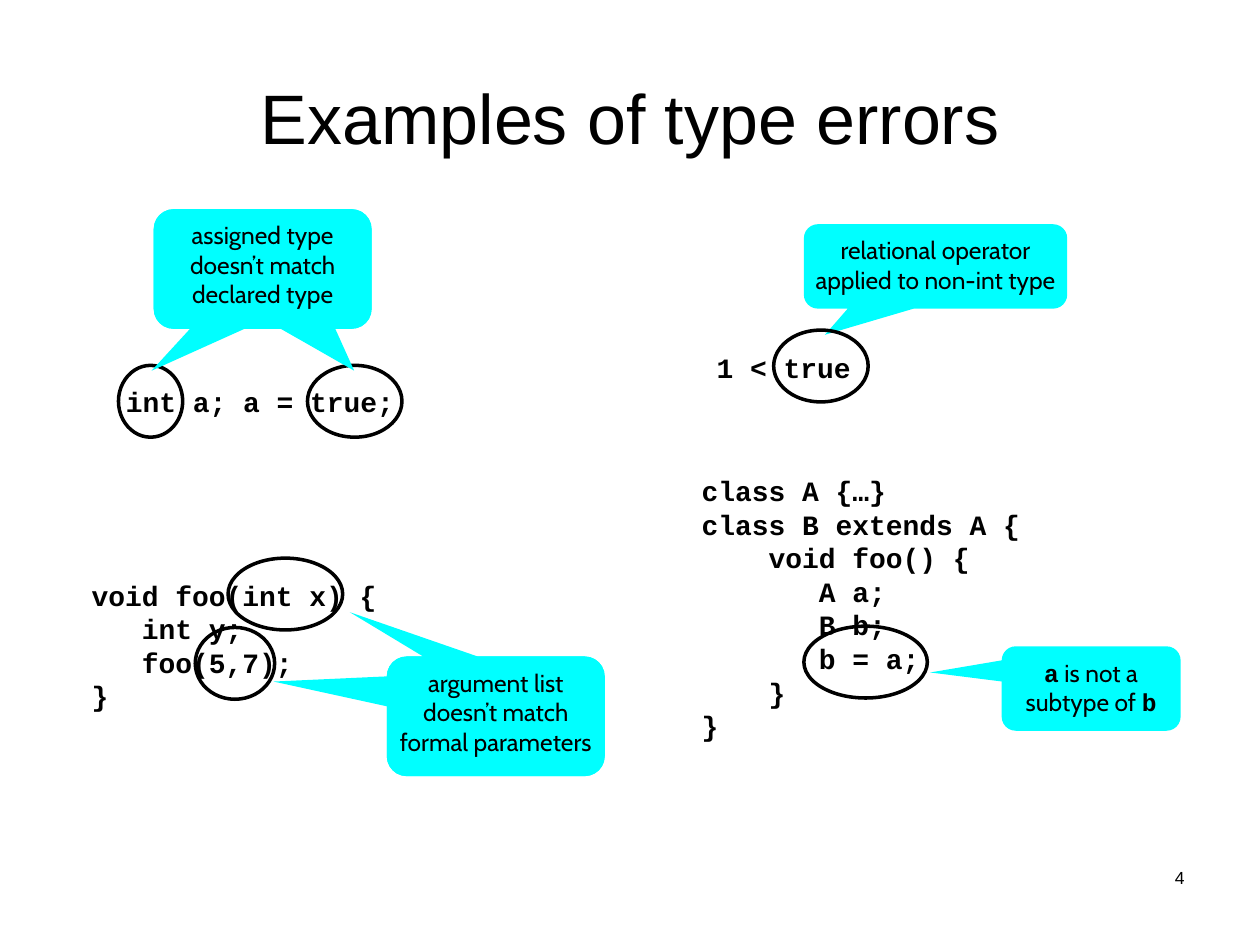
from pptx import Presentation
from pptx.dml.color import RGBColor
from pptx.enum.shapes import MSO_SHAPE
from pptx.enum.text import MSO_ANCHOR, PP_ALIGN
from pptx.util import Pt

EMU_PER_PX = 9144
BLACK = "000000"
CYAN = "00FFFF"
CODE_FONT = "Courier New"
NOTE_FONT = "Cabin"


def px(length):
    return length * EMU_PER_PX


def color(hex_code):
    return RGBColor.from_string(hex_code)


def style(run, font_name, size, bold=False):
    run.font.name = font_name
    run.font.size = Pt(size)
    run.font.bold = bold
    run.font.color.rgb = color(BLACK)


def add_text(slide, left, top, width, height, pieces, size, align=PP_ALIGN.LEFT):
    frame = slide.shapes.add_textbox(px(left), px(top), px(width), px(height)).text_frame
    frame.word_wrap = True
    paragraph = frame.paragraphs[0]
    paragraph.alignment = align
    if len(pieces) == 1:
        words, font_name, bold = pieces[0]
        paragraph.text = words
        for run in paragraph.runs:
            style(run, font_name, size, bold)
        return
    for words, font_name, bold in pieces:
        run = paragraph.add_run()
        run.text = words
        style(run, font_name, size, bold)


def add_code(slide, left, top, width, height, code):
    add_text(slide, left, top, width, height, [(code, CODE_FONT, True)], 16)


def add_ring(slide, left, top, width):
    ring = slide.shapes.add_shape(MSO_SHAPE.OVAL, px(left), px(top), px(width), px(57))
    ring.shadow.inherit = False
    ring.fill.background()
    ring.line.color.rgb = color(BLACK)
    ring.line.width = Pt(2)


def add_callout(slide, left, top, width, height, tails, pieces, overhang=4):
    for tail_x, tail_y in tails:
        bubble = slide.shapes.add_shape(
            MSO_SHAPE.ROUNDED_RECTANGULAR_CALLOUT, px(left), px(top), px(width), px(height))
        bubble.shadow.inherit = False
        bubble.fill.solid()
        bubble.fill.fore_color.rgb = color(CYAN)
        bubble.line.fill.background()
        bubble.adjustments[0] = tail_x
        bubble.adjustments[1] = tail_y
    add_text(slide, left - overhang, top + 4, width + 2 * overhang, height - 10,
             pieces, 14, PP_ALIGN.CENTER)


def add_title(slide, left, top, width, height):
    title = slide.shapes.title
    title.left, title.top, title.width, title.height = map(px, (left, top, width, height))
    title.text_frame.text = "Examples of type errors"
    title.text_frame.vertical_anchor = MSO_ANCHOR.MIDDLE
    paragraph = title.text_frame.paragraphs[0]
    paragraph.alignment = PP_ALIGN.CENTER
    style(paragraph.runs[0], "Arial", 40)


def add_assignment(slide, left, top):
    add_code(slide, left, top + 134, 272, 37, "int a; a = true;")
    add_ring(slide, left + 4, top + 124, 51)
    add_ring(slide, left + 154, top + 124, 75)
    add_callout(slide, left + 32, top, 173, 95, [(-0.51, 0.85), (0.42, 0.85)],
                [("assigned type doesn’t match declared type", NOTE_FONT, False)])


def add_method_call(slide, left, top):
    add_code(slide, left, top + 11, 327, 117,
             "void foo(int x) {\n   int y;\n   foo(5,7);\n}")
    add_ring(slide, left + 92, top + 55, 63)
    add_ring(slide, left + 118, top, 91)
    add_callout(slide, left + 244, top + 78, 173, 95, [(-1.02, -0.29), (-0.67, -0.87)],
                [("argument list doesn’t match formal parameters", NOTE_FONT, False)])


def add_comparison(slide, left, top):
    add_code(slide, left, top + 95, 130, 37, "1 < true")
    add_callout(slide, left + 79, top, 209, 67, [(-0.42, 0.81)],
                [("relational operator applied to non-int type", NOTE_FONT, False)], 10)
    add_ring(slide, left + 55, top + 84, 75)


def add_subtyping(slide, left, top):
    add_code(slide, left, top, 358, 224,
             "class A {…}\nclass B extends A {\n    void foo() {\n       A a;\n"
             "       B b;\n       b = a;\n    }\n}")
    add_ring(slide, left + 91, top + 126, 98)
    add_callout(slide, left + 248, top + 142, 142, 67, [(-0.9, -0.19)],
                [("a", CODE_FONT, True), (" is not a subtype of ", NOTE_FONT, False),
                 ("b", CODE_FONT, True)])


def main():
    presentation = Presentation()
    presentation.slide_width = px(1000)
    presentation.slide_height = px(750)
    slide = presentation.slides.add_slide(presentation.slide_layouts[5])
    add_text(slide, 717, 683, 233, 50, [("4", "Arial", False)], 10, PP_ALIGN.RIGHT)
    add_title(slide, 50, 30, 900, 125)
    add_assignment(slide, 90, 166)
    add_method_call(slide, 63, 443)
    add_comparison(slide, 559, 178)
    add_subtyping(slide, 547, 371)
    presentation.save("out.pptx")


if __name__ == "__main__":
    main()
